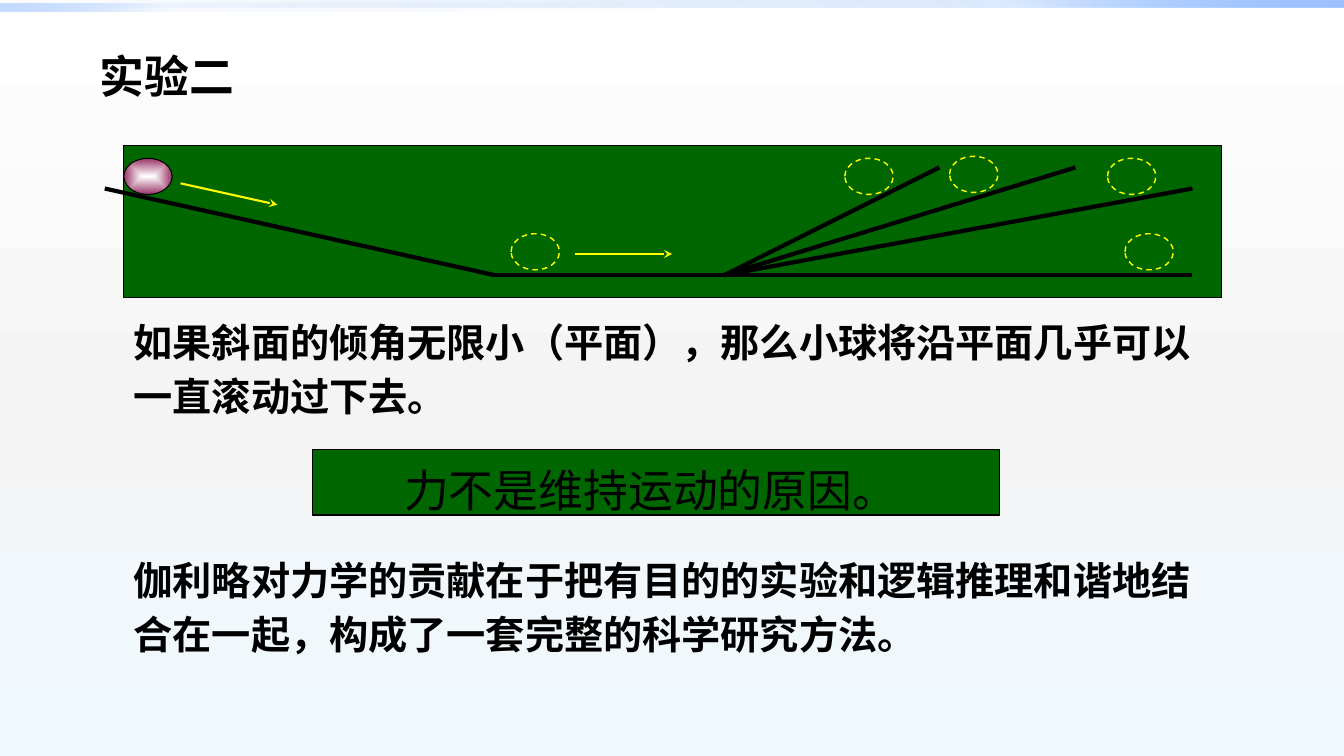
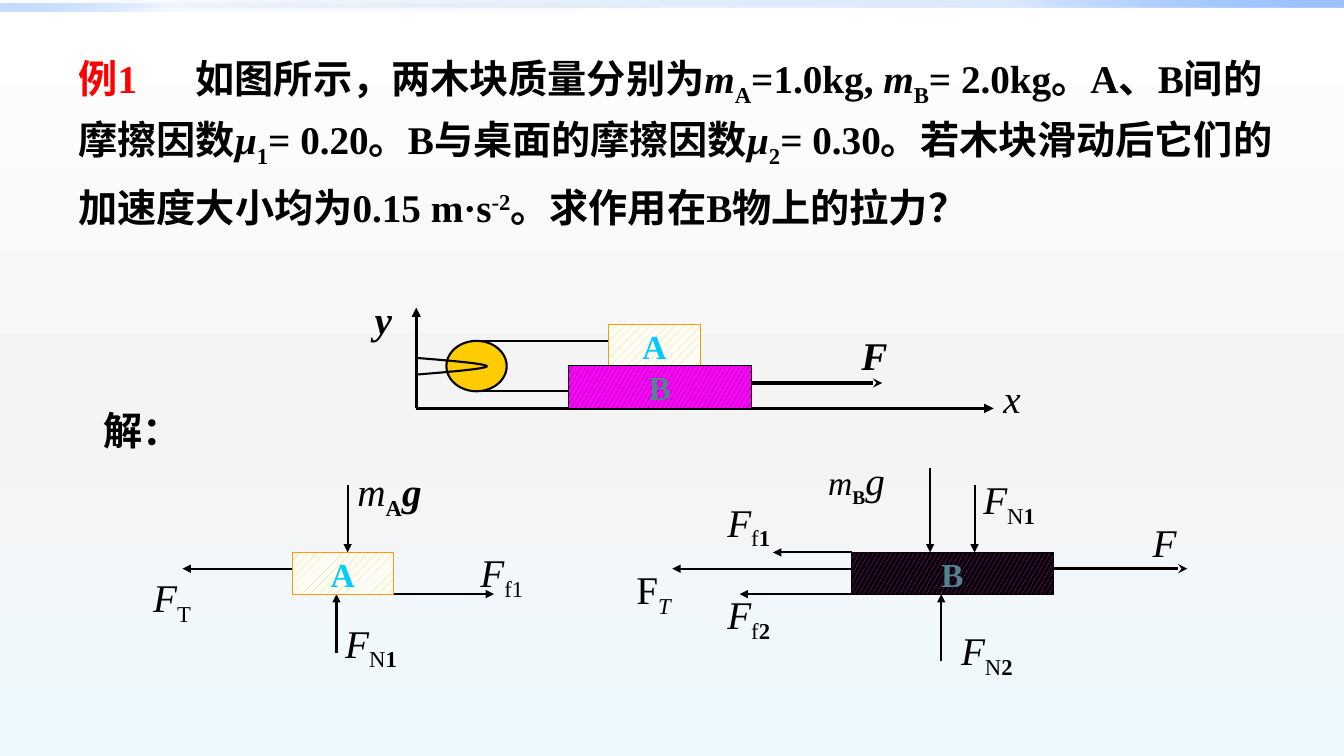
"""Build two physics slides: the rolling-ball experiment and a friction example."""
from lxml import etree
from pptx import Presentation
from pptx.dml.color import RGBColor
from pptx.enum.dml import MSO_LINE, MSO_PATTERN
from pptx.enum.shapes import MSO_CONNECTOR, MSO_SHAPE
from pptx.enum.text import MSO_ANCHOR, MSO_AUTO_SIZE, PP_ALIGN
from pptx.oxml.ns import qn
from pptx.util import Cm, Pt

RECT, OVAL = MSO_SHAPE.RECTANGLE, MSO_SHAPE.OVAL
STRAIGHT = MSO_CONNECTOR.STRAIGHT
DASH = MSO_LINE.DASH
CONFETTI, DOTS = MSO_PATTERN.LARGE_CONFETTI, MSO_PATTERN.PERCENT_20
CENTER = PP_ALIGN.CENTER
TOP, MIDDLE = MSO_ANCHOR.TOP, MSO_ANCHOR.MIDDLE
FIT = MSO_AUTO_SIZE.SHAPE_TO_FIT_TEXT

LATIN, CJK = "Times New Roman", "Noto Sans CJK SC"
HEX = {
    "black": "000000", "white": "FFFFFF", "red": "FF0000", "green": "006600",
    "yellow": "FFFF00", "plum": "993366", "gold": "FFCC00", "orange": "FF9900",
    "magenta": "FF00FF", "cyan": "00CCFF", "teal": "51848E",
    "mist": "F4F4F4", "ice": "EEF9FF",
    "blue": "0058B7", "azure": "4F95FF", "sky": "9EC2FF",
}
RGB = {name: RGBColor.from_string(code) for name, code in HEX.items()}


def line(s, points, width, color="black", arrow=None):
    cn = s.shapes.add_connector(STRAIGHT, *[Cm(v) for v in points])
    cn.line.color.rgb = RGB[color]
    cn.line.width = Pt(width)
    if arrow:
        etree.SubElement(cn.line._get_or_add_ln(), qn("a:tailEnd"), type=arrow)
    etree.SubElement(cn._element.spPr, qn("a:effectLst"))


def write(tf, runs, size, color="black", spacing=None, font=LATIN):
    p = tf.paragraphs[0]
    if spacing:
        p.line_spacing = Pt(spacing)
    for text, style, *own_size in runs:
        r = p.add_run()
        r.text = text
        r.font.name = font
        r.font.size = Pt(own_size[0] if own_size else size)
        r.font.bold = "b" in style
        r.font.italic = "i" in style
        r.font.color.rgb = RGB["red" if "r" in style else color]
        rPr = r._r.get_or_add_rPr()
        etree.SubElement(rPr, qn("a:ea"), typeface=CJK)
        if "_" in style:
            rPr.set("baseline", "-25000")
        if "^" in style:
            rPr.set("baseline", "30000")
    return p


prs = Presentation()
prs.slide_width, prs.slide_height = Cm(33.87), Cm(19.05)
master = prs.slide_master
s1, s2 = [prs.slides.add_slide(prs.slide_layouts[6]) for _ in range(2)]

fills = [(master.background.fill, 270,
          [(0, "white", 100), (55, "mist", 100), (100, "ice", 100)])]
for number, (top, width, angle, alphas) in enumerate([
    (0, 33.87, 45, (0, 20, 100)),
    (0.1, 16.93, 225, (0, 5, 60)),
]):
    sp = s1.shapes.add_shape(RECT, 0, Cm(top), Cm(width), Cm(0.2))
    sp.shadow.inherit = False
    sp.line.fill.background()
    fills.append((sp.fill, angle, list(zip((0, 75, 100), ("blue", "azure", "sky"), alphas))))
    sp._element.nvSpPr.cNvPr.set("id", str(101 + number))
    master.shapes._spTree.append(sp._element)

for fill, angle, stops in fills:
    fill.gradient()
    fill.gradient_angle = angle
    gs_list = fill.gradient_stops[0]._gs.getparent()
    for gs in list(gs_list):
        gs_list.remove(gs)
    for pos, color, alpha in stops:
        gs = etree.SubElement(gs_list, qn("a:gs"), pos=str(pos * 1000))
        clr = etree.SubElement(gs, qn("a:srgbClr"), val=HEX[color])
        if alpha < 100:
            etree.SubElement(clr, qn("a:alpha"), val=str(alpha * 1000))

panels = []
for box, width in [((3.12, 3.66, 27.66, 3.84), 0.75), ((7.87, 11.33, 17.32, 1.65), 1)]:
    sp = s1.shapes.add_shape(RECT, *[Cm(v) for v in box])
    sp.shadow.inherit = False
    sp.fill.solid()
    sp.fill.fore_color.rgb = RGB["green"]
    sp.line.color.rgb = RGB["black"]
    sp.line.width = Pt(width)
    panels.append(sp)
tf = panels[1].text_frame
tf.word_wrap = True
tf.vertical_anchor = TOP
p = write(tf, [("力不是维持运动的原因。 ", "")], 32, spacing=44, font=CJK)
p.alignment = CENTER

fork = (18.26, 6.93)
for end in [(30.05, 6.93), (27.1, 4.22), (30.05, 4.75), (23.67, 4.22)]:
    line(s1, fork + end, 3)
line(s1, (2.64, 4.75, 12.45, 6.93), 3)
line(s1, (12.4, 6.93) + fork, 3)
for points in [(4.55, 4.62, 6.99, 5.16), (14.48, 6.4, 16.94, 6.4)]:
    line(s1, points, 1.5, "yellow", "stealth")

balls = []
for left, top in [(3.12, 3.99), (12.88, 5.89), (21.29, 3.99), (23.93, 3.94),
                  (27.91, 3.99), (28.35, 5.89)]:
    sp = s1.shapes.add_shape(OVAL, Cm(left), Cm(top), Cm(1.22), Cm(0.91))
    sp.shadow.inherit = False
    sp.fill.background()
    sp.line.color.rgb = RGB["yellow"]
    sp.line.width = Pt(1)
    balls.append(sp)
for sp in balls[1:]:
    sp.line.dash_style = DASH
ball = balls[0]
ball.line.color.rgb = RGB["black"]
ball.line.width = Pt(0.75)
ball.fill.gradient()
for stop, color in zip(ball.fill.gradient_stops, ("white", "plum")):
    stop.color.rgb = RGB[color]
grad = ball.fill.gradient_stops[0]._gs.getparent().getparent()
grad.remove(grad.find(qn("a:lin")))
shade = etree.SubElement(grad, qn("a:path"), {"path": "shape"})
etree.SubElement(shade, qn("a:fillToRect"), {side: "50000" for side in "ltrb"})

problem = [
    ("例1\t", "br"), ("如图所示，两木块质量分别为", "b"),
    ("m", "bi"), ("A", "b_"), ("=1.0kg, ", "b"),
    ("m", "bi"), ("B", "b_"), ("= 2.0kg。A、B间的摩擦因数", "b"),
    ("μ", "bi"), ("1", "b_"), ("= 0.20。B与桌面的摩擦因数", "b"),
    ("μ", "bi"), ("2", "b_"), ("= 0.30。若木块滑动后它们的加速度大小均为0.15 m·s", "b"),
    ("-2", "b^"), ("。求作用在B物上的拉力？", "b"),
]
for s, box, runs, size, spacing in [
    (s1, (2.26, 0.91, 7.72, 1.6), [("实验二", "b")], 32, 44),
    (s1, (3.12, 7.72, 27.97, 2.97),
     [("如果斜面的倾角无限小（平面），那么小球将沿平面几乎可以一直滚动过下去。", "b")], 28, 38.5),
    (s1, (3.12, 13.72, 27.97, 2.97),
     [("伽利略对力学的贡献在于把有目的的实验和逻辑推理和谐地结合在一起，构成了一套完整的科学研究方法。", "b")],
     28, 38.5),
    (s2, (1.73, 1.07, 31.19, 4.39), problem, 28, 43.5),
    (s2, (2.36, 9.93, 4.01, 1.45), [("解：", "b")], 28, 38.5),
]:
    tf = s.shapes.add_textbox(*[Cm(v) for v in box]).text_frame
    tf.word_wrap = True
    p = write(tf, runs, size, spacing=spacing)
    if runs is problem:
        tabs = etree.SubElement(p._p.get_or_add_pPr(), qn("a:tabLst"))
        etree.SubElement(tabs, qn("a:tab"), pos=str(Cm(2.95)), algn="l")

for width, arrow, arrows in [
    (1.5, "triangle", [
        (23.44, 11.79, 23.44, 13.92), (24.56, 12.22, 24.56, 13.92),
        (21.46, 13.92, 19.48, 13.92), (21.46, 14.97, 18.64, 14.97),
        (21.46, 14.33, 16.94, 14.33), (23.72, 16.66, 23.72, 14.97),
        (8.76, 12.22, 8.76, 13.92), (7.37, 14.33, 4.6, 14.33),
        (9.91, 14.97, 12.45, 14.97), (8.48, 16.46, 8.48, 14.97)]),
    (2.25, "triangle", [(10.49, 10.29, 25.04, 10.29), (10.49, 10.29, 10.49, 7.75)]),
    (2.25, "stealth", [(26.54, 14.33, 29.92, 14.33), (18.92, 9.65, 22.23, 9.65)]),
]:
    for points in arrows:
        line(s2, points, width, arrow=arrow)

pulley = s2.shapes.add_shape(OVAL, Cm(11.25), Cm(8.59), Cm(1.52), Cm(1.27))
pulley.fill.solid()
pulley.fill.fore_color.rgb = RGB["gold"]
for points in [(12.01, 8.59, 15.34, 8.59), (12.01, 9.86, 14.33, 9.86)]:
    line(s2, points, 1.5)

upper = []
for step in range(13):
    t = step / 12
    weights = ((1 - t) ** 3, 3 * t * (1 - t) ** 2, 3 * t * t * (1 - t), t ** 3)
    upper.append([sum(w * v for w, v in zip(weights, values))
                  for values in ((10.49, 11.38, 12.27, 12.27), (0.21, 0.14, 0.06, 0))])
curve = [(Cm(x), Cm(9.23 - dy)) for x, dy in upper]
curve += [(Cm(x), Cm(9.23 + dy)) for x, dy in upper[-2::-1]]
builder = s2.shapes.build_freeform(*curve[0], scale=1.0)
builder.add_line_segments(curve[1:], close=False)
bracket = builder.convert_to_shape()
bracket.fill.background()
for sp in (pulley, bracket):
    sp.shadow.inherit = False
    sp.line.color.rgb = RGB["black"]
    sp.line.width = Pt(1.5)

for name, left, top, width, pattern, fore, back, edge, color in [
    ("A", 15.34, 8.18, 2.31, DOTS, "gold", "white", "orange", "cyan"),
    ("B", 14.33, 9.22, 4.6, CONFETTI, "black", "magenta", "black", "teal"),
    ("A", 7.37, 13.92, 2.54, DOTS, "gold", "white", "orange", "cyan"),
    ("B", 21.46, 13.92, 5.08, CONFETTI, "magenta", "black", "black", "teal"),
]:
    sp = s2.shapes.add_shape(RECT, Cm(left), Cm(top), Cm(width), Cm(1.07))
    sp.shadow.inherit = False
    sp.fill.patterned()
    sp.fill.pattern = pattern
    sp.fill.fore_color.rgb = RGB[fore]
    sp.fill.back_color.rgb = RGB[back]
    sp.line.color.rgb = RGB[edge]
    sp.line.width = Pt(0.75)
    tf = sp.text_frame
    tf.word_wrap = False
    tf.vertical_anchor = MIDDLE
    write(tf, [(name, "b")], 24, color).alignment = CENTER

normal_1 = [("F", "i"), ("N", "_"), ("1", "b_")]
for left, top, width, wrap, runs in [
    (9.19, 7.32, 1.02, True, [("y", "bi")]),
    (25.04, 9.3, 0.86, False, [("x", "i")]),
    (21.46, 8.23, 1.07, False, [("F", "bi")]),
    (8.76, 11.66, 2.21, False, [("m", "i"), ("A", "b_"), ("g", "bi")]),
    (3.61, 14.33, 2.34, True, [("F", "i"), ("T", "_")]),
    (11.86, 13.69, 1.68, False, [("F", "i"), ("f1", "_")]),
    (8.45, 15.47, 1.93, False, normal_1),
    (20.62, 11.38, 2.01, False, [("m", "i", 24), ("B", "b_", 24), ("g", "i")]),
    (24.53, 11.86, 1.93, False, normal_1),
    (18.08, 12.42, 1.68, False, [("F", "i"), ("f", "_"), ("1", "b_")]),
    (18.08, 14.76, 1.68, False, [("F", "i"), ("f", "_"), ("2", "b_")]),
    (28.8, 12.93, 1.12, False, [("F", "i")]),
    (15.79, 14.12, 1.73, True, [("F", ""), ("T", "i_")]),
    (23.97, 15.67, 1.93, False, [("F", "i"), ("N", "_"), ("2", "b_")]),
]:
    tf = s2.shapes.add_textbox(Cm(left), Cm(top), Cm(width), Cm(1.45)).text_frame
    tf.word_wrap = wrap
    tf.auto_size = FIT
    write(tf, runs, 28)

prs.save("out.pptx")
